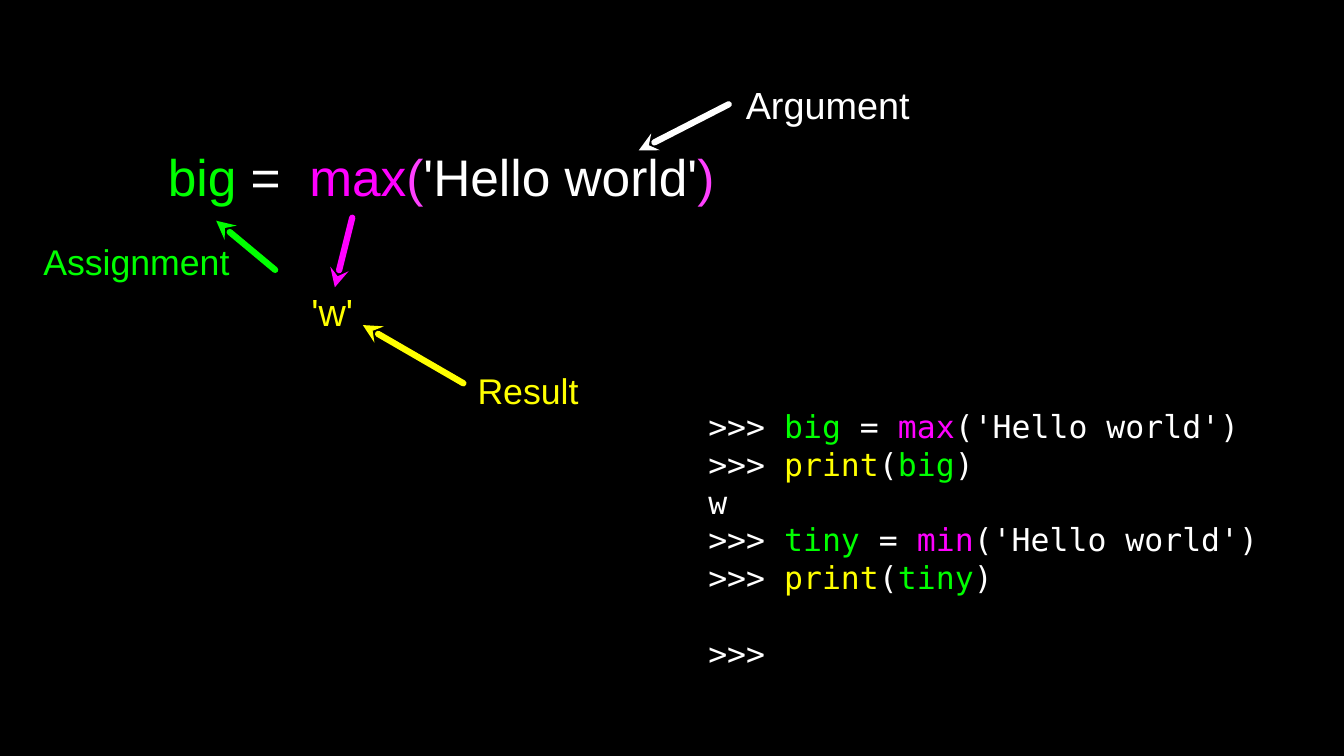
from dataclasses import dataclass

from lxml import etree
from pptx import Presentation
from pptx import util as u
from pptx.dml.color import RGBColor
from pptx.enum import shapes, text
from pptx.oxml.ns import qn


@dataclass(frozen=True)
class Theme:
    black: str = "000000"
    white: str = "FFFFFF"
    green: str = "00FF00"
    magenta: str = "FF00FF"
    pink: str = "FF40FF"
    yellow: str = "FFFF00"
    sans: str = "Arial"
    mono: str = "DejaVu Sans Mono"
    headline: int = 49
    large: int = 36
    label: int = 34
    code: int = 30
    code_pitch: int = 36
    arrow: int = 6


class SlideBuilder:
    def __init__(self, slide, theme):
        self.s, self.t = slide, theme
        fill = slide.background.fill
        fill.solid()
        fill.fore_color.rgb = RGBColor.from_string(theme.black)

    def textbox(self, box, lines, size, font, **fmt):
        """Each line is a list of (text, colour) runs; fmt goes to every paragraph."""
        tf = self.s.shapes.add_textbox(*map(u.Inches, box)).text_frame
        frame = dict(word_wrap=True, vertical_anchor=text.MSO_ANCHOR.MIDDLE,
                     margin_left=0, margin_top=0, margin_right=0, margin_bottom=0)
        for name, value in frame.items():
            setattr(tf, name, value)
        for i, runs in enumerate(lines):
            p = tf.add_paragraph() if i else tf.paragraphs[0]
            for name, value in fmt.items():
                setattr(p, name, value)
            for words, colour in runs:
                r = p.add_run()
                r.text = words
                for name, value in dict(name=font, size=u.Pt(size)).items():
                    setattr(r.font, name, value)
                r.font.color.rgb = RGBColor.from_string(colour)
        return tf

    def label(self, box, words, colour, size, align=text.PP_ALIGN.CENTER):
        self.textbox(box, [[(words, colour)]], size, self.t.sans, alignment=align)

    def arrow(self, tip, tail, colour):
        sp = self.s.shapes.add_connector(
            shapes.MSO_CONNECTOR.STRAIGHT, *map(u.Inches, (*tip, *tail)))
        sp.line.width = u.Pt(self.t.arrow)
        sp.line.color.rgb = RGBColor.from_string(colour)
        # Round ends, arrowhead at the tip, no shadow
        ln = sp.line._get_or_add_ln()
        ln.set("cap", "rnd")
        etree.SubElement(ln, qn("a:round"))
        etree.SubElement(ln, qn("a:headEnd"), type="stealth", w="med", len="med")
        etree.SubElement(sp._element.spPr, qn("a:effectLst"))


def main():
    t = Theme()
    prs = Presentation()
    prs.slide_width, prs.slide_height = u.Inches(17.78), u.Inches(10)
    b = SlideBuilder(prs.slides.add_slide(prs.slide_layouts[6]), t)

    # Interpreter session
    def assign(name, func):
        return [(">>> ", t.white), (name, t.green), (" = ", t.white),
                (func, t.magenta), ("('Hello world')", t.white)]

    def show(name):
        return [(">>> ", t.white), ("print", t.yellow), ("(", t.white),
                (name, t.green), (")", t.white)]

    session = [assign("big", "max"), show("big"), [("w", t.white)],
               assign("tiny", "min"), show("tiny"), [(">>>", t.white)]]
    tf = b.textbox((9.37, 5.33, 7.64, 3.61), session, t.code, t.mono,
                   line_spacing=u.Pt(t.code_pitch))
    tf.paragraphs[-1].space_before = u.Pt(t.code_pitch)

    # Annotated statement
    statement = [("big", t.green), (" =  ", t.white), ("max", t.magenta),
                 ("(", t.pink), ("'Hello world'", t.white), (")", t.pink)]
    b.textbox((2.22, 1.88, 7.42, 0.89), [statement], t.headline, t.sans)

    # Labels
    b.label((9.64, 1.04, 2.62, 0.68), "Argument", t.white, t.large)
    b.label((4.12, 3.78, 0.67, 0.68), "'w'", t.yellow, t.large, text.PP_ALIGN.LEFT)
    b.label((6.29, 4.82, 1.39, 0.68), "Result", t.yellow, t.label)
    b.label((0.37, 3.12, 2.87, 0.68), "Assignment", t.green, t.label)

    # Arrows, tip first
    for tip, tail, colour in [
        ((8.45, 1.99), (9.64, 1.38), t.white),
        ((4.8, 4.3), (6.13, 5.07), t.yellow),
        ((2.86, 2.92), (3.64, 3.57), t.green),
        ((4.43, 3.8), (4.66, 2.88), t.magenta),
    ]:
        b.arrow(tip, tail, colour)

    prs.save("out.pptx")


if __name__ == "__main__":
    main()
